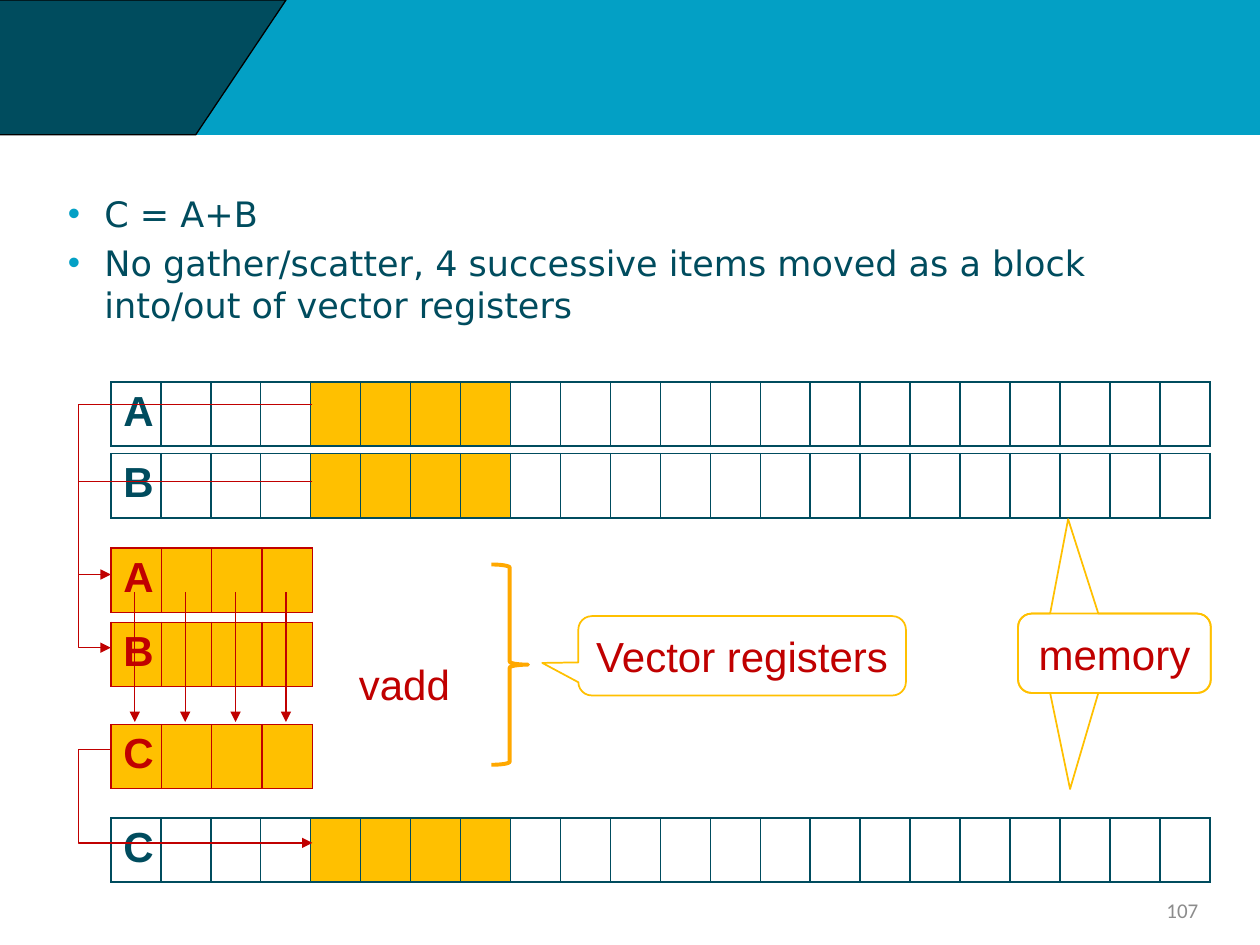
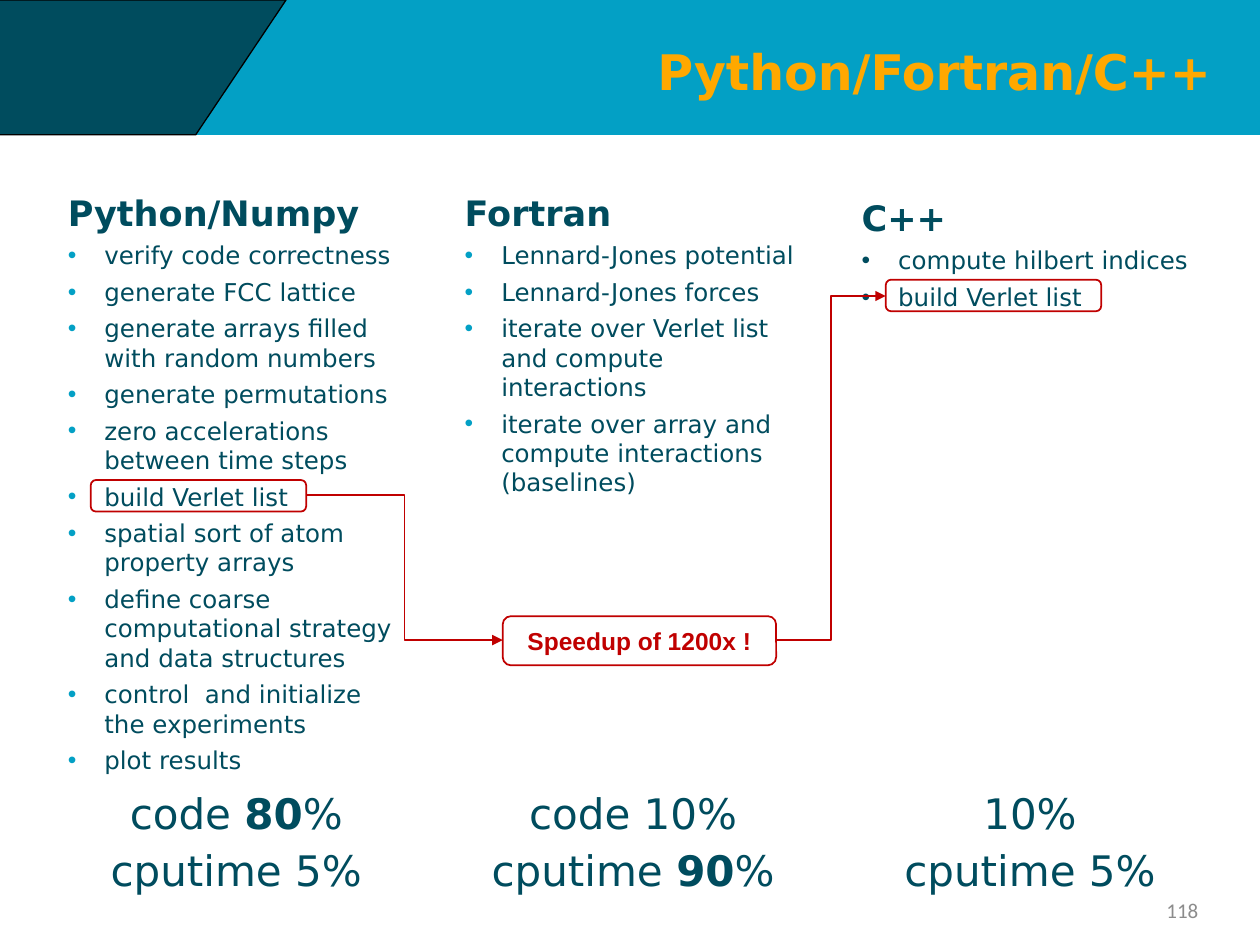
from lxml.etree import SubElement as Sub
from pptx import Presentation as Deck
from pptx.dml.color import RGBColor as Rgb
from pptx.enum.shapes import MSO_CONNECTOR as Conn, MSO_SHAPE as Form
from pptx.enum.text import MSO_ANCHOR as Anchor, MSO_AUTO_SIZE as Auto, PP_ALIGN as Align
from pptx.oxml.ns import qn
from pptx.util import Inches, Pt

DARK, BLUE, RED = "004C5E", "03A0C5", "C00000"
GOLD, AMBER, GREY = "FFC000", "FFA800", "8C8C8C"
SANS, ARIAL = "DejaVu Sans", "Arial"
LEFT, STEP, WIDE = 0.44, 3.15, 2.87
GRID, CELL, ROW = 0.88, 0.4, 0.51

TITLE = dict(size=Pt(28), name=SANS, bold=True)
BODY = dict(size=Pt(20), name=SANS)
HEAD = dict(BODY, bold=True)
ITEM = dict(size=Pt(14), name=SANS)
SHARE = dict(size=Pt(24), name=SANS)
LABEL = dict(size=Pt(24), name=ARIAL)
MARK = dict(LABEL, bold=True)
NOTE = dict(size=Pt(14), name=ARIAL, bold=True)
PAGE = dict(size=Pt(12), name="Calibri")
GAP = dict(space_before=Pt(2), space_after=Pt(2))

POINTS = [
    "C = A+B",
    "No gather/scatter, 4 successive items moved as a block into/out of vector registers",
]
TASKS = [
    ("Python/Numpy", 1.47, BLUE, [
        "verify code correctness",
        "generate FCC lattice",
        "generate arrays filled with random numbers",
        "generate permutations",
        "zero accelerations between time steps",
        "build Verlet list",
        "spatial sort of atom property arrays",
        "define coarse computational strategy and data structures",
        "control  and initialize the experiments",
        "plot results",
    ], ["code *80*%", "cputime 5%"]),
    ("Fortran", 1.47, BLUE, [
        "Lennard-Jones potential",
        "Lennard-Jones forces",
        "iterate over Verlet list and compute interactions",
        "iterate over array and compute interactions (baselines)",
    ], ["code 10%", "cputime *90*%"]),
    ("C++", 1.51, DARK, [
        "compute hilbert indices",
        "build Verlet list",
    ], ["10%", "cputime 5%"]),
]


def tint(code):
    return Rgb.from_string(code)


def put(thing, vals):
    for key, val in vals.items():
        setattr(thing, key, val)


def paint(fill, code):
    if code:
        fill.solid()
        fill.fore_color.rgb = tint(code)
    else:
        fill.background()


def stroke(line, code, width):
    paint(line.fill, code)
    line.width = Pt(width)


def write(para, text, font, color, align=Align.LEFT):
    para.alignment = align
    for num, part in enumerate(text.split("*")):
        if part:
            run = para.add_run()
            run.text = part
            put(run.font, font)
            run.font.color.rgb = tint(color)
            if num % 2:
                run.font.bold = True


def dot(para, color):
    props = para._p.get_or_add_pPr()
    props.set("marL", str(Inches(0.29)))
    props.set("indent", str(-Inches(0.29)))
    Sub(Sub(props, qn("a:buClr")), qn("a:srgbClr"), val=color)
    Sub(props, qn("a:buFont"), typeface="Arial")
    Sub(props, qn("a:buChar"), char="•")


def frame(slide, x, y, w, h):
    box = slide.shapes.add_textbox(*map(Inches, (x, y, w, h)))
    put(box.text_frame, dict(word_wrap=True, auto_size=Auto.NONE))
    return box.text_frame


def lines(slide, spot, rows, align=Align.LEFT):
    body = frame(slide, *spot)
    for num, (text, font, color) in enumerate(rows):
        para = body.add_paragraph() if num else body.paragraphs[0]
        put(para, GAP if num else dict(space_after=Pt(2)))
        if color:
            dot(para, color)
        write(para, text, font, DARK, align)


def shape(slide, form, spot, fill=None, line=RED, width=1, adj=(), text="", font=LABEL):
    item = slide.shapes.add_shape(form, *map(Inches, spot))
    item.shadow.inherit = False
    paint(item.fill, fill)
    stroke(item.line, line, width)
    for num, val in enumerate(adj):
        item.adjustments[num] = val
    if text:
        write(item.text_frame.paragraphs[0], text, font, RED, Align.CENTER)
    return item


def arrow(slide, start, end, kind=Conn.ELBOW, bend=0.5, width=0.75):
    link = slide.shapes.add_connector(kind, *map(Inches, start + end))
    stroke(link.line, RED, width)
    props = link.element.spPr
    Sub(props.find(qn("a:ln")), qn("a:tailEnd"), type="triangle")
    Sub(props, qn("a:effectLst"))
    if kind == Conn.ELBOW:
        geom = props.find(qn("a:prstGeom"))
        value = f"val {round(bend * 100000)}"
        Sub(geom.find(qn("a:avLst")), qn("a:gd"), name="adj1", fmla=value)


def edge(cell, color):
    props = cell._tc.get_or_add_tcPr()
    for num, side in enumerate(("lnL", "lnR", "lnT", "lnB")):
        line = Sub(props, qn(f"a:{side}"), w=str(Pt(1)))
        Sub(Sub(line, qn("a:solidFill")), qn("a:srgbClr"), val=color)
        props.insert(num, line)


def strip(slide, name, y, count, width, color, full):
    spot = map(Inches, (GRID, y, width, ROW))
    table = slide.shapes.add_table(1, count, *spot).table
    put(table, dict(first_row=False, horz_banding=False))
    for num, cell in enumerate(table.iter_cells()):
        table.columns[num].width = Inches(width / count)
        paint(cell.fill, GOLD if num in full else None)
        edge(cell, color)
    write(table.cell(0, 0).text_frame.paragraphs[0], name, MARK, color)


def bands(deck, slide):
    top = shape(slide, Form.RECTANGLE, (0, 0, 10, 1.07), BLUE, BLUE, 0.75)
    flap = shape(slide, Form.TRAPEZOID, (-2.26, 0, 4.53, 1.07), DARK, "000000", 0.75, [0.67])
    flap.rotation = 180
    tree = deck.slide_master.element.cSld.spTree
    for num, item in enumerate((top, flap)):
        item.element.nvSpPr.cNvPr.set("id", str(101 + num))
        tree.insert(2 + num, item.element)


def page(slide, num):
    body = frame(slide, 7.28, 7.02, 2.33, 0.4)
    body.vertical_anchor = Anchor.MIDDLE
    write(body.paragraphs[0], num, PAGE, GREY, Align.RIGHT)


def title(slide, text):
    head = slide.shapes.title
    put(head, dict(left=Inches(1.54), top=Inches(0.22), width=Inches(8.07), height=Inches(0.69)))
    body = head.text_frame
    put(body, dict(margin_left=0, margin_right=0, margin_top=0, margin_bottom=0,
                   vertical_anchor=Anchor.MIDDLE, auto_size=Auto.NONE, word_wrap=True))
    write(body.paragraphs[0], text, TITLE, AMBER, Align.RIGHT)


def vectors(slide):
    page(slide, "107")
    lines(slide, (LEFT, 1.48, 9.17, 1.38), [(text, BODY, BLUE) for text in POINTS])
    for name, y in (("A", 3.03), ("B", 3.6), ("C", 6.49)):
        strip(slide, name, y, 22, 8.73, DARK, range(4, 8))
    for name, y in (("A", 4.35), ("B", 4.94), ("C", 5.75)):
        strip(slide, name, y, 4, 1.6, RED, range(4))
    write(frame(slide, 2.75, 5.18, 1, 0.48).paragraphs[0], "vadd", LABEL, RED)

    far = GRID + 4 * CELL
    arrow(slide, (far, 3.21), (GRID, 4.56), bend=1.16)
    arrow(slide, (far, 3.82), (GRID, 5.14), bend=1.16)
    arrow(slide, (GRID, 5.95), (far, 6.69), bend=-0.16)
    for num in range(4):
        x = 1.07 + num * CELL
        arrow(slide, (x, 4.7), (x, 5.73), Conn.STRAIGHT)

    call = Form.ROUNDED_RECTANGULAR_CALLOUT
    store = (8.08, 4.87, 1.53, 0.63)
    shape(slide, call, store, None, GOLD, 1, (-0.24, -1.69, 0.17), "memory")
    shape(slide, call, store, None, GOLD, 1, (-0.23, 1.71, 0.17))
    shape(slide, Form.RIGHT_BRACE, (3.9, 4.48, 0.29, 1.59), None, AMBER, 2.25)
    shape(slide, call, (4.59, 4.89, 2.6, 0.63), None, GOLD, 1,
          (-0.61, 0.09, 0.17), "Vector registers")


def speedup(slide):
    title(slide, "Python/Fortran/C++")
    page(slide, "118")
    for num, (name, y, color, tasks, shares) in enumerate(TASKS):
        x = LEFT + num * STEP
        rows = [(name, HEAD, None)] + [(task, ITEM, color) for task in tasks]
        lines(slide, (x, y, WIDE, 4.57), rows)
        rows = [(text, SHARE, None) for text in shares]
        lines(slide, (x, 6.2, WIDE, 0.55), rows, Align.CENTER)
    for x, y in ((0.72, 3.81), (7.03, 2.22)):
        shape(slide, Form.ROUNDED_RECTANGLE, (x, y, 1.71, 0.25))
    shape(slide, Form.ROUNDED_RECTANGLE, (3.99, 4.89, 2.17, 0.39),
          text="Speedup of 1200x !", font=NOTE)
    arrow(slide, (2.43, 3.93), (3.99, 5.08), width=1)
    arrow(slide, (6.16, 5.08), (7.03, 2.35), width=1)


def main():
    deck = Deck()
    put(deck, dict(slide_width=Inches(10), slide_height=Inches(7.5)))
    first = deck.slides.add_slide(deck.slide_layouts[6])
    bands(deck, first)
    vectors(first)
    speedup(deck.slides.add_slide(deck.slide_layouts[5]))
    deck.save("out.pptx")


if __name__ == "__main__":
    main()
